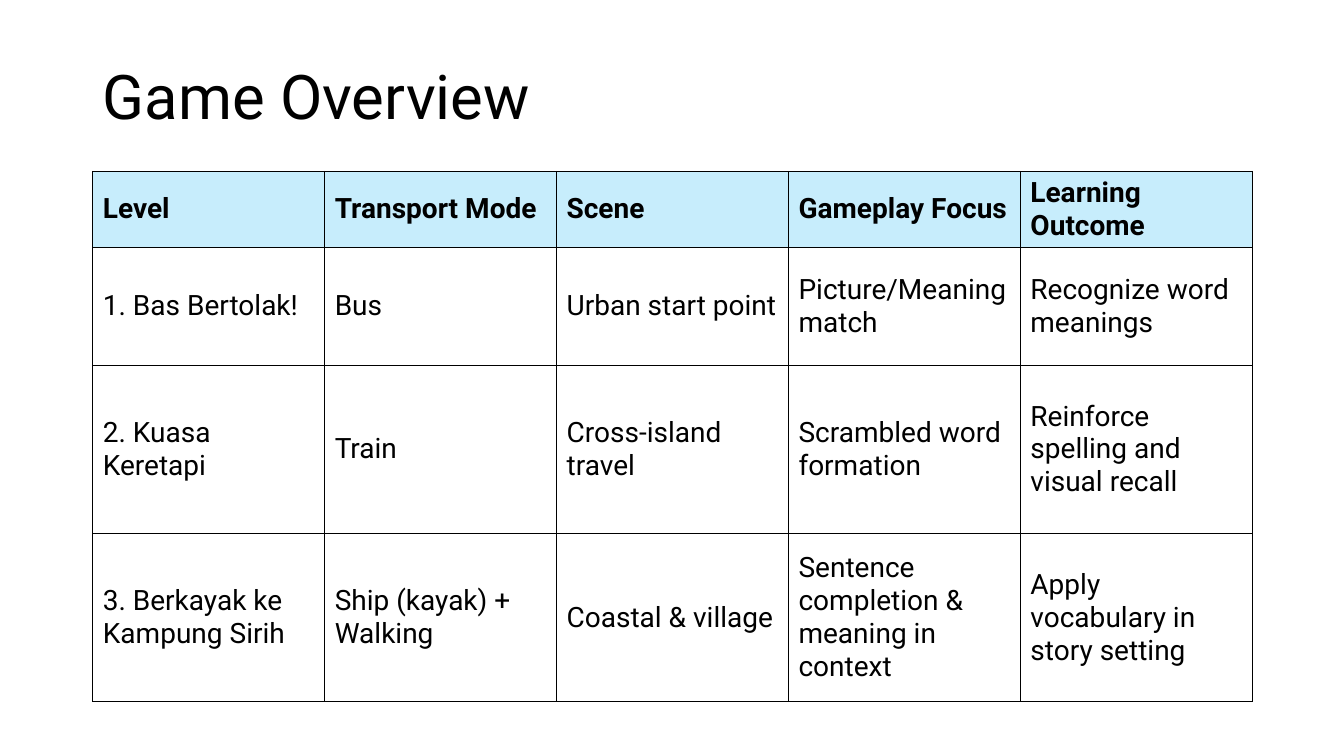
from lxml import etree
from pptx import Presentation
from pptx.dml.color import RGBColor
from pptx.enum.text import MSO_ANCHOR, MSO_AUTO_SIZE, PP_ALIGN
from pptx.oxml.ns import qn
from pptx.util import Pt

PX = 9144  # EMU per px, 100 px to the inch
FONT = "Roboto"
BLACK = RGBColor(0x00, 0x00, 0x00)
SKY = RGBColor(0xC7, 0xED, 0xFC)
MIDDLE = MSO_ANCHOR.MIDDLE
LEFT = PP_ALIGN.LEFT
NO_FIT = MSO_AUTO_SIZE.NONE

COL = 230
HEIGHTS = [75, 117, 167, 167]
LEVELS = [
    ["Level", "Transport Mode", "Scene", "Gameplay Focus", "Learning Outcome"],
    ["1. Bas Bertolak!", "Bus", "Urban start point",
     "Picture/Meaning match", "Recognize word meanings"],
    ["2. Kuasa Keretapi", "Train", "Cross-island travel",
     "Scrambled word formation", "Reinforce spelling and visual recall"],
    ["3. Berkayak ke Kampung Sirih", "Ship (kayak) + Walking",
     "Coastal & village", "Sentence completion & meaning in context",
     "Apply vocabulary in story setting"],
]


def px(*sizes):
    return [size * PX for size in sizes]


def set_font(para, size, bold=False):
    font = para.font
    font.name, font.size, font.bold = FONT, Pt(size), bold
    font.color.rgb = BLACK


def add_title(slide, text, box):
    title = slide.shapes.title
    title.left, title.top, title.width, title.height = px(*box)
    frame = title.text_frame
    frame.text = text
    frame.word_wrap = True
    frame.auto_size = NO_FIT
    frame.vertical_anchor = MIDDLE
    para = frame.paragraphs[0]
    para.alignment = LEFT
    para.line_spacing = 0.9
    set_font(para, 44)


def add_border(cell):
    props = cell._tc.get_or_add_tcPr()
    for side in ("a:lnL", "a:lnR", "a:lnT", "a:lnB"):
        line = etree.SubElement(props, qn(side), w=str(Pt(1)))
        fill = etree.SubElement(line, qn("a:solidFill"))
        etree.SubElement(fill, qn("a:srgbClr"), val=str(BLACK))


def fill_cell(cell, text, head):
    cell.text = text
    cell.vertical_anchor = MIDDLE
    set_font(cell.text_frame.paragraphs[0], 20, head)
    add_border(cell)
    if head:
        cell.fill.solid()
        cell.fill.fore_color.rgb = SKY
    else:
        cell.fill.background()


def add_grid(slide, rows, left, top):
    count = len(rows[0])
    box = px(left, top, COL * count, sum(HEIGHTS))
    table = slide.shapes.add_table(len(rows), count, *box).table
    table.first_row = table.horz_banding = False
    for col in table.columns:
        col.width = COL * PX
    for r, texts in enumerate(rows):
        table.rows[r].height = HEIGHTS[r] * PX
        for c, text in enumerate(texts):
            fill_cell(table.cell(r, c), text, head=r == 0)


def main():
    deck = Presentation()
    deck.slide_width, deck.slide_height = px(1333, 750)
    slide = deck.slides.add_slide(deck.slide_layouts[5])

    # Heading
    add_title(slide, "Game Overview", (92, 0, 574, 198))

    # Levels of the game
    add_grid(slide, LEVELS, 92, 170)

    deck.save("out.pptx")


if __name__ == "__main__":
    main()
